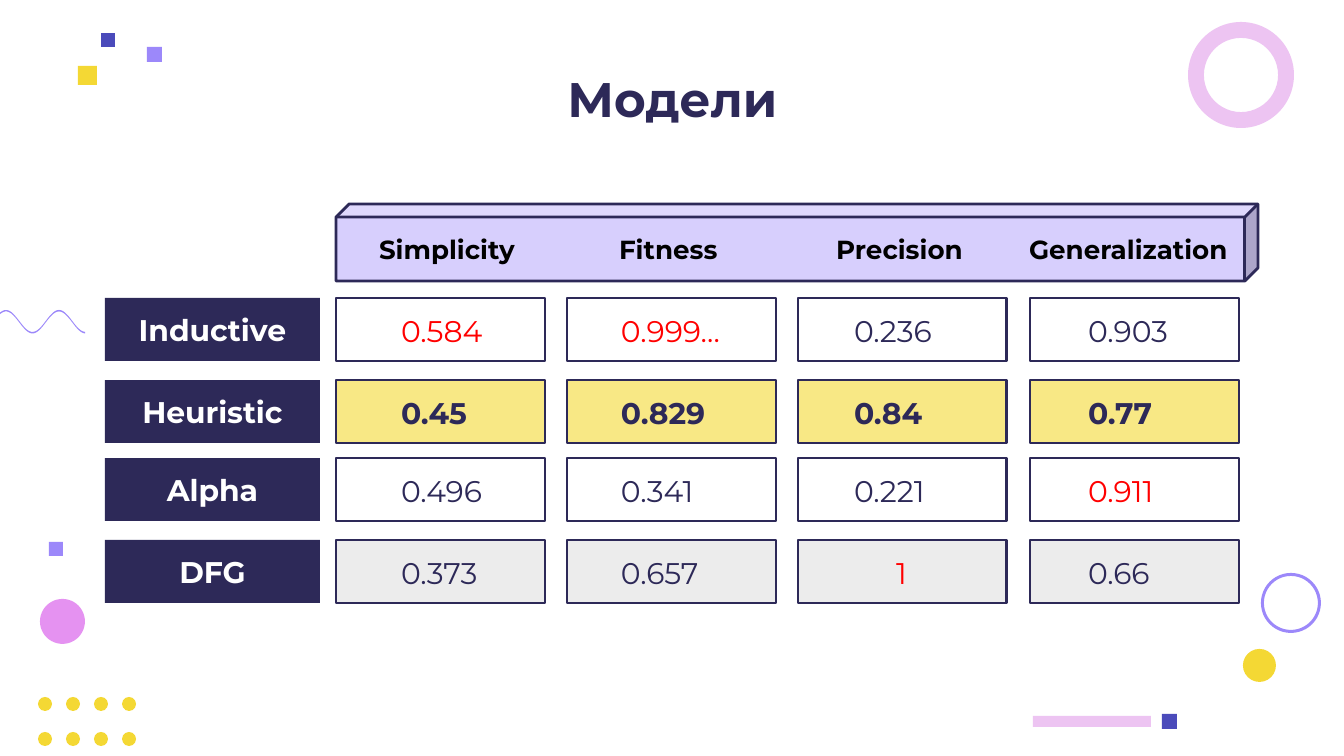
import math

from pptx import Presentation
from pptx import util as u
from pptx.dml.color import RGBColor
from pptx.enum import shapes, text
from pptx.oxml import parse_xml
from pptx.oxml.ns import nsdecls

PX = 914400 / 134.4
FONT = "Montserrat"
NAVY = RGBColor(0x2D, 0x29, 0x58)
INDIGO = RGBColor(0x4B, 0x4B, 0xBB)
VIOLET = RGBColor(0x9C, 0x88, 0xFA)
LAVENDER = RGBColor(0xD7, 0xCF, 0xFD)
ROSE = RGBColor(0xED, 0xC4, 0xF2)
ORCHID = RGBColor(0xE5, 0x92, 0xF1)
YELLOW = RGBColor(0xF4, 0xD8, 0x34)
PALE_YELLOW = RGBColor(0xF8, 0xE8, 0x85)
GREY = RGBColor(0xEC, 0xEC, 0xEC)
RED = RGBColor(0xFF, 0x00, 0x00)
BLACK = RGBColor(0x00, 0x00, 0x00)
WHITE = RGBColor(0xFF, 0xFF, 0xFF)
KIND = shapes.MSO_SHAPE

METRICS = ["Simplicity", "Fitness", "Precision", "Generalization"]
METRIC_TABS = [30, 270, 487, 680]
CELL_LEFTS = [336 + 694 * column // 3 for column in range(4)]
VALUE_LEFTS = [388, 608, 841, 1075]
MODELS = [
    ("Inductive", 298, None, ["0.584", "0.999…", "0.236", "0.903"]),
    ("Heuristic", 380, PALE_YELLOW, ["0.45", "0.829", "0.84", "0.77"]),
    ("Alpha", 458, None, ["0.496", "0.341", "0.221", "0.911"]),
    ("DFG", 540, GREY, ["0.373", "0.657", "1", "0.66"]),
]
BEST = {"0.584", "0.999…", "1", "0.911"}
ROW_HEIGHT = 63


def px(length):
    return u.Emu(round(length * PX))


def paint(shape, fill=None, line=None):
    shape.shadow.inherit = False
    if fill is None:
        shape.fill.background()
    else:
        shape.fill.solid()
        shape.fill.fore_color.rgb = fill
    if line is None:
        shape.line.fill.background()
    else:
        shape.line.color.rgb = line
        shape.line.width = u.Pt(1.5)


def add_block(slide, kind, box, fill=None, line=None, adjustment=None):
    block = slide.shapes.add_shape(kind, *map(px, box))
    paint(block, fill, line)
    if adjustment is not None:
        block.adjustments[0] = adjustment
    return block


def write(shape, words, size=16, color=NAVY, bold=False,
          align=text.PP_ALIGN.LEFT, anchor=text.MSO_ANCHOR.MIDDLE, inset=13):
    frame = shape.text_frame
    frame.word_wrap = True
    frame.vertical_anchor = anchor
    frame.margin_left = frame.margin_right = px(13)
    frame.margin_top = frame.margin_bottom = px(inset)
    paragraph = frame.paragraphs[0]
    paragraph.alignment = align
    run = paragraph.add_run()
    run.text = words
    run.font.name = FONT
    run.font.size = u.Pt(size)
    run.font.bold = bold
    run.font.color.rgb = color
    return paragraph


def set_tabs(paragraph, positions):
    stops = "".join(f'<a:tab pos="{px(position)}" algn="l"/>' for position in positions)
    paragraph._p.get_or_add_pPr().append(
        parse_xml(f'<a:tabLst {nsdecls("a")}>{stops}</a:tabLst>'))


def add_wave(slide):
    crest = [(x, 321 - 11 * math.cos(math.tau * (x + 47) / 53)) for x in range(-47, 86, 2)]
    ribbon = crest + [(x, y + 1.5) for x, y in reversed(crest)]
    points = [(px(x), px(y)) for x, y in ribbon]
    builder = slide.shapes.build_freeform(*points[0])
    builder.add_line_segments(points[1:], close=True)
    paint(builder.convert_to_shape(), VIOLET)


def add_decorations(slide):
    for column in range(4):
        for row in range(2):
            add_block(slide, KIND.OVAL, (38 + 28 * column, 697 + 35 * row, 14, 14), YELLOW)
    add_wave(slide)
    add_block(slide, KIND.DONUT, (1188, 22, 106, 106), ROSE, adjustment=0.15)
    add_block(slide, KIND.DONUT, (1261, 573, 60, 60), VIOLET, adjustment=0.05)
    add_block(slide, KIND.OVAL, (40, 599, 45, 45), ORCHID)
    add_block(slide, KIND.OVAL, (1243, 649, 33, 33), YELLOW)
    add_block(slide, KIND.RECTANGLE, (1033, 716, 118, 11), ROSE)
    for left, top, side, color in [(1162, 714, 15, INDIGO), (78, 66, 19, YELLOW),
                                   (147, 47, 15, VIOLET), (101, 33, 14, INDIGO),
                                   (49, 542, 14, VIOLET)]:
        add_block(slide, KIND.RECTANGLE, (left, top, side, side), color)


def add_header(slide):
    header = add_block(slide, KIND.CUBE, (336, 204, 922, 77), LAVENDER, NAVY, 0.17)
    metrics = write(header, "\t" + "\t".join(METRICS), size=14, color=BLACK, bold=True)
    set_tabs(metrics, METRIC_TABS)


def add_model(slide, name, top, fill, values):
    label = add_block(slide, KIND.RECTANGLE, (105, top, 215, ROW_HEIGHT), NAVY)
    write(label, name, color=WHITE, bold=True, align=text.PP_ALIGN.CENTER)
    for left in CELL_LEFTS:
        add_block(slide, KIND.RECTANGLE, (left, top, 209, ROW_HEIGHT), fill, NAVY)
    for left, value in zip(VALUE_LEFTS, values):
        shift = 42 if value == "1" else 0
        score = slide.shapes.add_textbox(*map(px, (left + shift, top + 8, 150, 50)))
        write(score, value, color=RED if value in BEST else NAVY,
              bold=name == "Heuristic", anchor=text.MSO_ANCHOR.TOP, inset=7)


def main():
    """Build the slide that compares process models by four metrics."""
    deck = Presentation()
    deck.slide_width, deck.slide_height = px(1344), px(756)
    slide = deck.slides.add_slide(deck.slide_layouts[6])
    add_decorations(slide)
    add_header(slide)
    title = slide.shapes.add_textbox(*map(px, (112, 56, 1121, 85)))
    write(title, "Модели", size=26, bold=True, align=text.PP_ALIGN.CENTER)
    for model in MODELS:
        add_model(slide, *model)
    deck.save("out.pptx")


if __name__ == "__main__":
    main()
